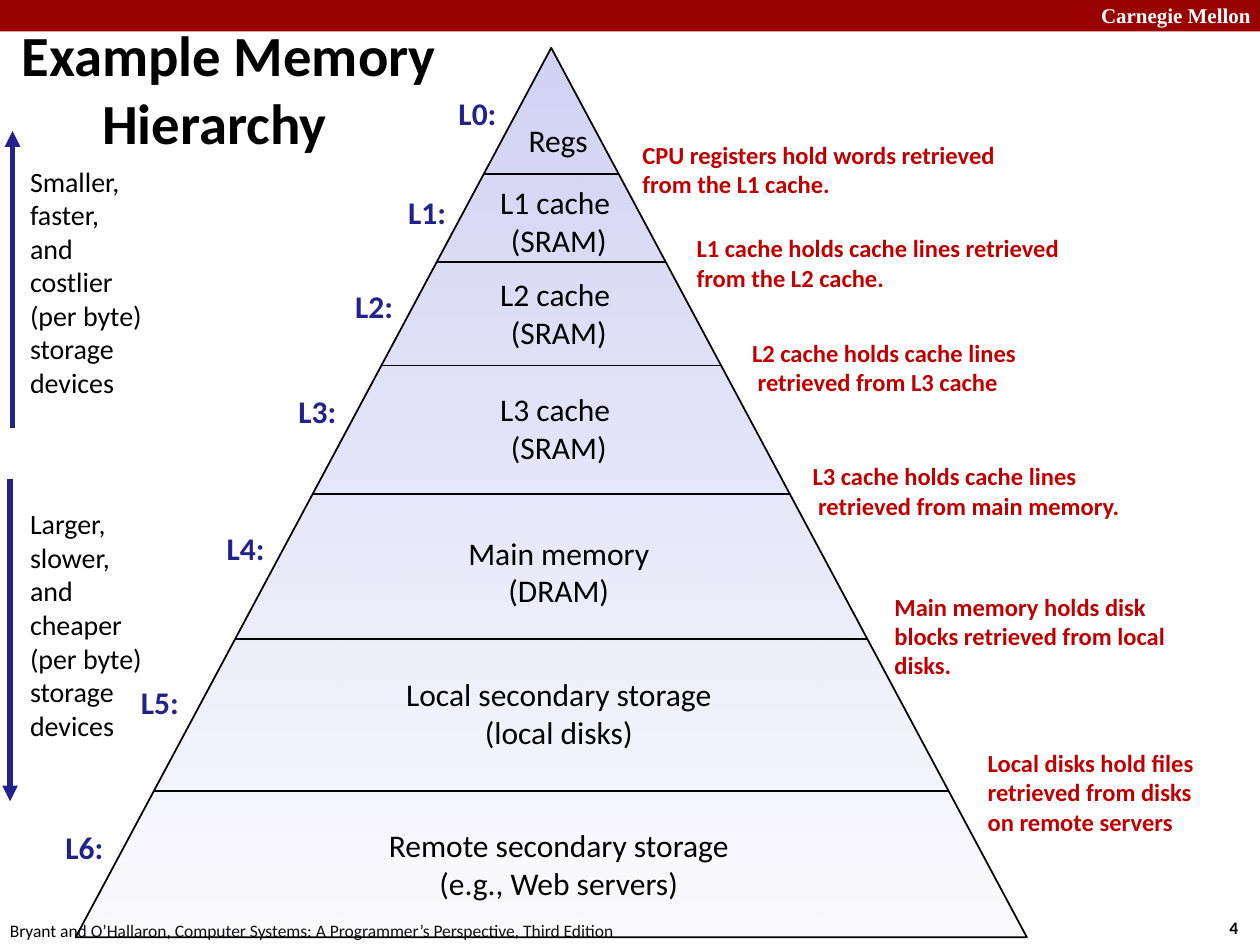
from lxml import etree
from pptx import Presentation
from pptx.dml.color import RGBColor
from pptx.enum import shapes, text
from pptx.oxml import ns
from pptx.util import Inches, Pt

BLACK = RGBColor(0, 0, 0)
WHITE = RGBColor(255, 255, 255)
MAROON = RGBColor(0x99, 0, 0)
RED = RGBColor(0xC0, 0, 0)
NAVY = RGBColor(0x22, 0x22, 0x8B)
LILAC = RGBColor(0xD2, 0xD2, 0xF4)

# Each level: lines of text, box (left, top, width, height), label (left, top)
LEVELS = [
    (["Regs"], (4.09, 0.91, 0.68, 0.4), (3.54, 0.7)),
    (["L1 cache ", "(SRAM)"], (3.86, 1.4, 1.15, 0.71), (3.14, 1.48)),
    (["L2 cache ", "(SRAM)"], (3.86, 2.13, 1.15, 0.71), (2.72, 2.23)),
    (["L3 cache ", "(SRAM)"], (3.86, 3.04, 1.15, 0.71), (2.27, 3.06)),
    (["Main memory", "(DRAM)"], (3.61, 4.18, 1.65, 0.71), (1.7, 4.15)),
    (["Local secondary storage", "(local disks)"], (3.1, 5.3, 2.67, 0.71), (1.02, 5.37)),
    (["Remote secondary storage", "(e.g., Web servers)"], (2.96, 6.5, 2.95, 0.71), (0.42, 6.52)),
]
CUTS = [1.38, 2.08, 2.9, 3.92, 5.07, 6.28]
NOTES = [
    (["CPU registers hold words retrieved from the L1 cache."], (5, 1.06, 3.19, 0.57)),
    (["L1 cache holds cache lines retrieved from the L2 cache."], (5.43, 1.8, 3.1, 0.57)),
    (["L2 cache holds cache lines", " retrieved from L3 cache"], (5.87, 2.63, 2.88, 0.57)),
    (["L3 cache holds cache lines", " retrieved from main memory."], (6.35, 3.61, 3.15, 0.57)),
    (["Main memory holds disk blocks retrieved from local disks."], (7, 4.64, 2.39, 0.81)),
    (["Local disks hold files retrieved from disks", "on remote servers"], (7.74, 5.88, 2.26, 0.81)),
]
# Each trend: words, top of text, arrow x, arrow start y, arrow end y
TRENDS = [
    (["Smaller,", "faster,", "and", "costlier", "(per byte)", "storage", "devices"],
     1.24, 0.1, 3.4, 1.04),
    (["Larger,", "slower,", "and", "cheaper", "(per byte)", "storage", "devices"],
     3.96, 0.08, 3.8, 6.36),
]
LEFT, TOP, WIDE, HIGH = 0.6, 0.38, 7.55, 7.06

deck = Presentation()
deck.slide_width, deck.slide_height = Inches(10), Inches(7.5)
slide = deck.slides.add_slide(deck.slide_layouts[5])
items = slide.shapes


def write(frame, lines, size=18, color=BLACK, bold=False, font="Calibri",
          align=text.PP_ALIGN.LEFT, anchor=text.MSO_ANCHOR.MIDDLE, wrap=False,
          fit=text.MSO_AUTO_SIZE.SHAPE_TO_FIT_TEXT):
    frame.word_wrap, frame.auto_size = wrap, fit
    frame.vertical_anchor = anchor
    for i, line in enumerate(lines):
        para = frame.paragraphs[0] if i == 0 else frame.add_paragraph()
        para.alignment = align
        run = para.add_run()
        run.text = line
        run.font.name, run.font.size, run.font.bold = font, Pt(size), bold
        run.font.color.rgb = color


def label(lines, at, **form):
    box = items.add_textbox(*map(Inches, at))
    write(box.text_frame, lines, **form)


def line(x1, y1, x2, y2, color=BLACK, width=1, arrow=False):
    rule = items.add_connector(shapes.MSO_CONNECTOR.STRAIGHT,
                               *map(Inches, (x1, y1, x2, y2)))
    rule.line.color.rgb, rule.line.width = color, Pt(width)
    if arrow:
        etree.SubElement(rule.line._get_or_add_ln(), ns.qn("a:tailEnd"), type="triangle")
    etree.SubElement(rule._element.spPr, ns.qn("a:effectLst"))


# Banner and footer
bar = items.add_shape(shapes.MSO_SHAPE.RECTANGLE, 0, 0, Inches(10), Inches(0.25))
bar.shadow.inherit = False
bar.fill.solid()
bar.fill.fore_color.rgb = MAROON
bar.line.fill.background()
high = text.MSO_ANCHOR.TOP
label(["Carnegie Mellon"], (8.64, -0.03, 1.43, 0.3), size=12, color=WHITE,
      bold=True, font="Times New Roman", wrap=True, anchor=high)
label(["4"], (9.66, 7.23, 0.37, 0.27), size=10, bold=True, anchor=high)
label(["Bryant and O’Hallaron, Computer Systems: A Programmer’s Perspective, Third Edition"],
      (-0.02, 7.25, 5.08, 0.27), size=10, anchor=high)

# Title, second line indented
title = items.title
title.left, title.top, title.width, title.height = map(Inches, (0.07, 0.27, 9.53, 0.86))
write(title.text_frame, ["Example Memory", "Hierarchy"], size=32.4, bold=True,
      wrap=True, fit=text.MSO_AUTO_SIZE.NONE)
for para, indent in zip(title.text_frame.paragraphs, (0, 0.64)):
    para.space_before = Pt(0)
    para._p.get_or_add_pPr().set("marL", str(Inches(indent)))

# Pyramid, fading towards its base
cone = items.add_shape(shapes.MSO_SHAPE.ISOSCELES_TRIANGLE,
                       *map(Inches, (LEFT, TOP, WIDE, HIGH)))
cone.shadow.inherit = False
cone.line.color.rgb, cone.line.width = BLACK, Pt(1)
cone.fill.gradient()
cone.fill.gradient_angle = 90
for stop, place in zip(cone.fill.gradient_stops, (0, 1)):
    stop.color.rgb, stop.position = LILAC, place
pale = cone._element.spPr.find(".//" + ns.qn("a:srgbClr"))
etree.SubElement(pale, ns.qn("a:alpha"), val="7000")

# Cuts reach from edge to edge
mid = LEFT + WIDE / 2
for y in CUTS:
    half = WIDE / 2 * (y - TOP) / HIGH
    line(mid - half, y, mid + half, y)

# Levels and their labels
for i, (lines, at, spot) in enumerate(LEVELS):
    label(lines, at, align=text.PP_ALIGN.CENTER)
    label([f"L{i}:"], (*spot, 0.51, 0.4), color=NAVY, bold=True)

# Notes on the right
for lines, at in NOTES:
    label(lines, at, size=14, color=RED, bold=True, wrap=True)

# Trends on the left
for lines, top, x, start, end in TRENDS:
    label(lines, (0.14, top, 1.1, 1.99), size=16)
    line(x, start, x, end, color=NAVY, width=3, arrow=True)

deck.save("out.pptx")
